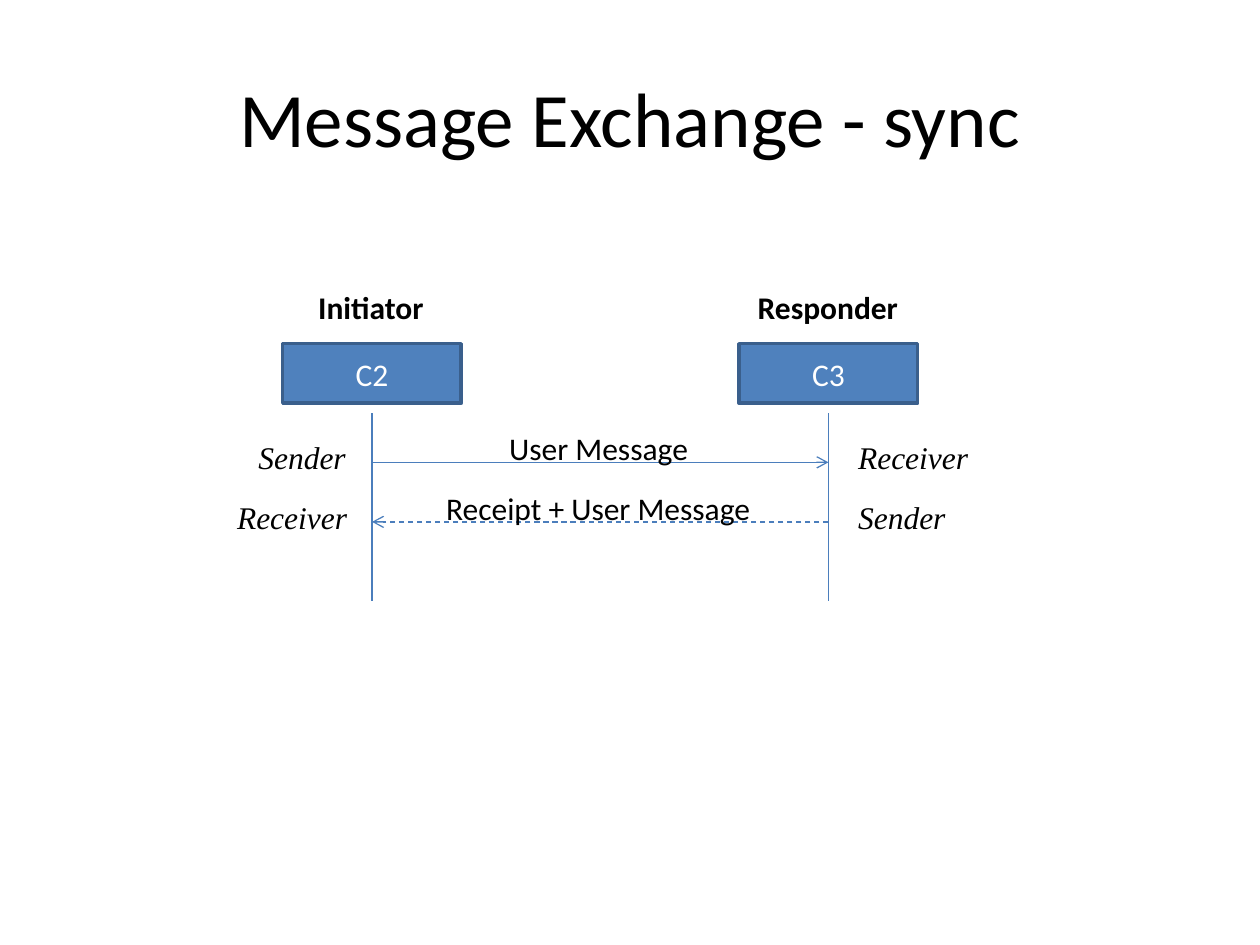
import pptx
import pptx.util
import pptx.dml.color
import pptx.enum.dml
import pptx.enum.shapes
import pptx.enum.text
import pptx.oxml.ns
import lxml.etree

Cm = pptx.util.Cm
Pt = pptx.util.Pt
ALIGN = pptx.enum.text.PP_ALIGN
ANCHOR = pptx.enum.text.MSO_ANCHOR

COLORS = {"text": "000000", "light": "FFFFFF", "box": "4F81BD",
          "edge": "3A5F8C", "line": "4B7EBC"}
SANS, SERIF = "Calibri", "Times New Roman"


def color(name):
    return pptx.dml.color.RGBColor.from_string(COLORS[name])


class Page:
    def __init__(self, slide):
        self.slide = slide

    def put(self, frame, text, size=18, font=SANS, ink="text",
            bold=False, italic=False, align=ALIGN.LEFT):
        """Set the text of a frame and format its runs."""
        frame.text = text
        for para in frame.paragraphs:
            para.alignment = align
            for run in para.runs:
                run.font.size = Pt(size)
                run.font.name = font
                run.font.bold = bold
                run.font.italic = italic
                run.font.color.rgb = color(ink)

    def title(self, text, left, top, width, height):
        box = self.slide.shapes.add_textbox(
            Cm(left), Cm(top), Cm(width), Cm(height))
        box.text_frame.word_wrap = True
        box.text_frame.vertical_anchor = ANCHOR.MIDDLE
        self.put(box.text_frame, text, size=44, align=ALIGN.CENTER)

    def label(self, text, left, top, width, **style):
        box = self.slide.shapes.add_textbox(
            Cm(left), Cm(top), Cm(width), Cm(1.03))
        frame = box.text_frame
        frame.word_wrap = False
        frame.auto_size = pptx.enum.text.MSO_AUTO_SIZE.SHAPE_TO_FIT_TEXT
        self.put(frame, text, **style)

    def box(self, text, left, top, width, height):
        shape = self.slide.shapes.add_shape(
            pptx.enum.shapes.MSO_SHAPE.RECTANGLE,
            Cm(left), Cm(top), Cm(width), Cm(height))
        shape.shadow.inherit = False
        shape.fill.solid()
        shape.fill.fore_color.rgb = color("box")
        shape.line.color.rgb = color("edge")
        shape.line.width = Pt(2)
        shape.text_frame.vertical_anchor = ANCHOR.MIDDLE
        self.put(shape.text_frame, text, ink="light", align=ALIGN.CENTER)

    def line(self, x1, y1, x2, y2, arrow=False, dash=False):
        link = self.slide.shapes.add_connector(
            pptx.enum.shapes.MSO_CONNECTOR.STRAIGHT,
            Cm(x1), Cm(y1), Cm(x2), Cm(y2))
        link.line.color.rgb = color("line")
        link.line.width = Pt(0.75)
        if dash:
            link.line.dash_style = pptx.enum.dml.MSO_LINE.DASH
        qn = pptx.oxml.ns.qn
        props = link.element.find(qn("p:spPr"))
        if arrow:
            lxml.etree.SubElement(
                props.find(qn("a:ln")), qn("a:tailEnd"), type="arrow")
        lxml.etree.SubElement(props, qn("a:effectLst"))


def main():
    deck = pptx.Presentation()
    deck.slide_width, deck.slide_height = Cm(25.4), Cm(19.05)
    page = Page(deck.slides.add_slide(deck.slide_layouts[6]))
    page.title("Message Exchange - sync", 1.27, 0.76, 22.86, 3.18)

    # Actors: name, part played, label width, lifeline position
    left, right = 7.5, 16.7
    actors = [("C2", "Initiator", 2.67, left),
              ("C3", "Responder", 3.35, right)]
    for name, part, width, x in actors:
        page.label(part, x - width / 2, 5.69, width, bold=True)
        page.box(name, x - 1.8, 6.93, 3.6, 1.2)
        page.line(x, 8.33, x, 12.12)

    # Messages: text, text width, start, end, left role, right role
    widths = {"Sender": 2.34, "Receiver": 2.77}
    messages = [
        ("User Message", 4.17, left, right, "Sender", "Receiver"),
        ("Receipt + User Message", 6.71, right, left, "Receiver", "Sender"),
    ]
    middle = (left + right) / 2
    for row, (text, width, start, end, near, far) in enumerate(messages):
        y = 9.32 + 1.2 * row
        page.line(start, y, end, y, arrow=True, dash=start > end)
        page.label(text, middle - width / 2, y - 0.79, width)
        for role, x in ((near, left - 0.2 - widths[near]),
                        (far, right + 0.35)):
            page.label(role, x, y - 0.61, widths[role],
                       font=SERIF, italic=True)

    deck.save("out.pptx")


if __name__ == "__main__":
    main()
